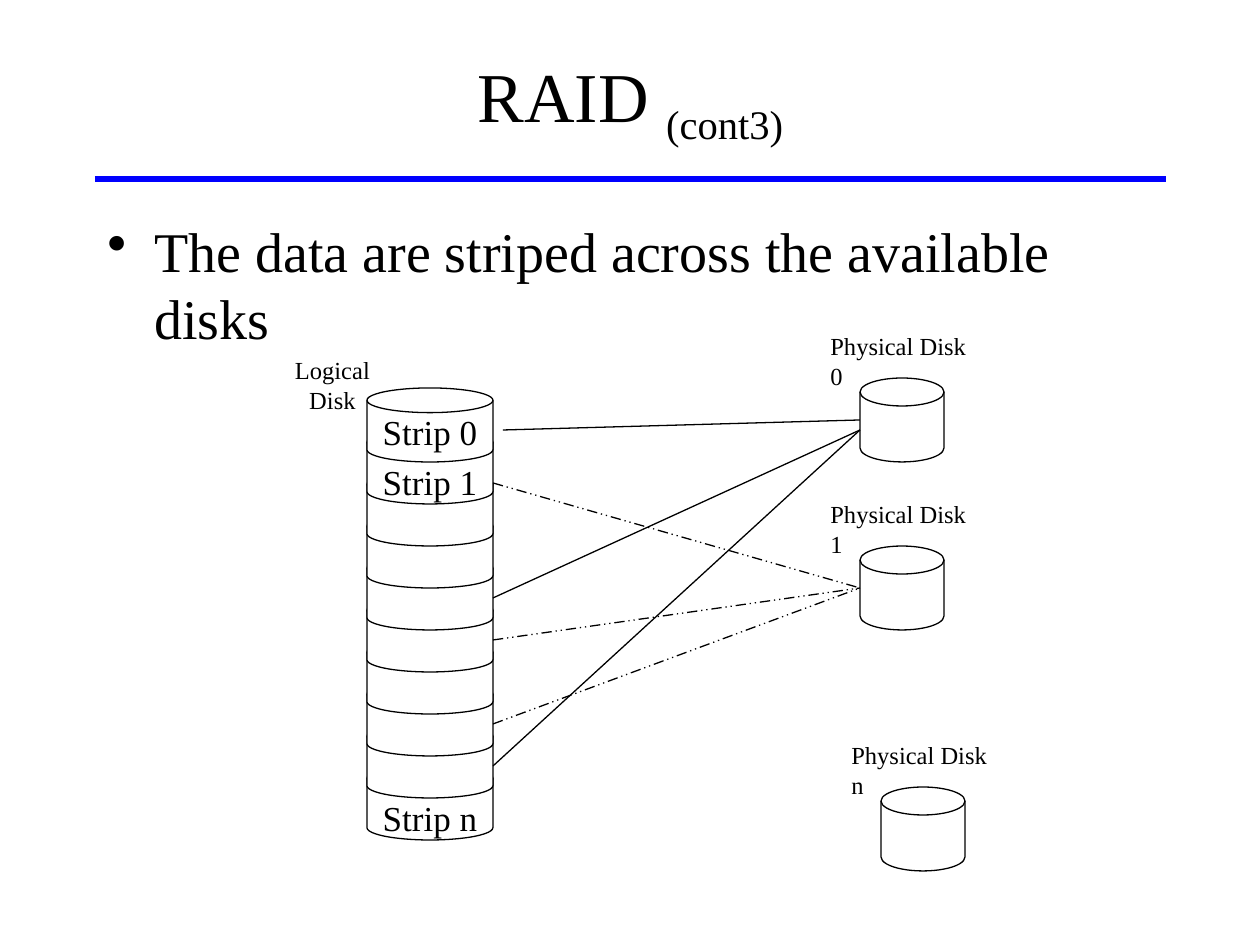
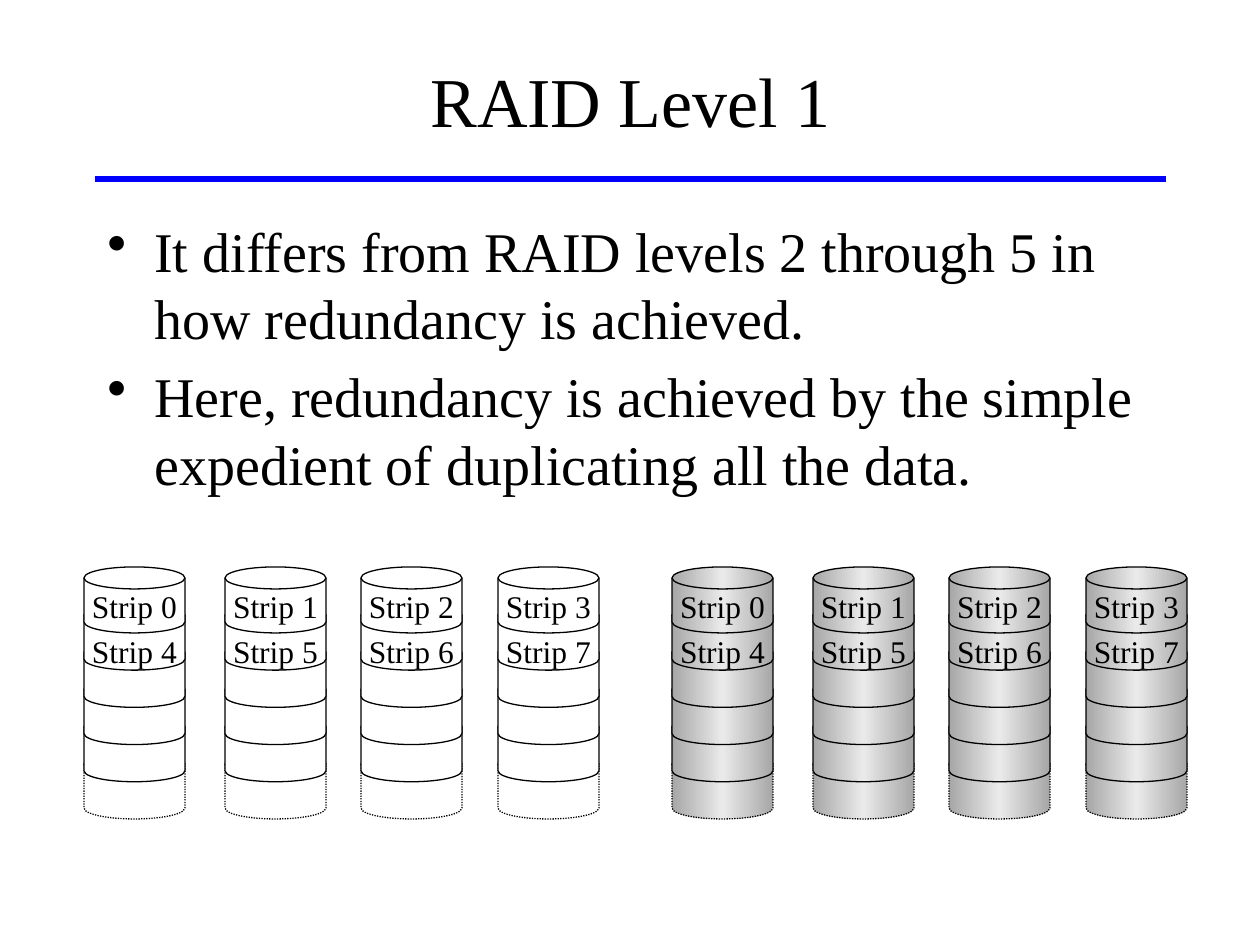
from lxml.etree import SubElement
from pptx import Presentation
from pptx.dml.color import RGBColor
from pptx.enum.dml import MSO_LINE_DASH_STYLE as Dash
from pptx.enum.shapes import MSO_CONNECTOR_TYPE as Connector, MSO_SHAPE as Shape
from pptx.enum.text import MSO_ANCHOR as Anchor, PP_ALIGN as Align
from pptx.oxml.ns import qn
from pptx.util import Pt

PX = 914400 / 126
PAGE_SIZE = (1260, 945)
FONT = "Times New Roman"
BLACK = RGBColor(0, 0, 0)
WHITE = RGBColor(255, 255, 255)
BLUE = RGBColor(0, 0, 255)
SILVER = RGBColor(0xEA, 0xEA, 0xEA)
EDGE_SHADE = 46275  # thousandths of a percent

TITLE_AREA = (95, 21, 1071, 158)
RULE = ((95, 179), (1166, 179))
BODY_AREA = (95, 210, 1071, 315)
BULLET_INDENT = 47

STRIPING = {
    "title": "RAID ",
    "suffix": "(cont3)",
    "bullets": ["The data are striped across the available disks"],
}
LOGICAL_LABEL = ("Logical\nDisk", (282, 349, 101, 72))
LOGICAL_STACK = (367, 388, 126, 452)
LOGICAL_STRIPS = ["Strip 0", "Strip 1"] + [""] * 7 + ["Strip n"]
PHYSICAL_DISKS = [
    ("Physical Disk 0", 860, 378),
    ("Physical Disk 1", 860, 546),
    ("Physical Disk n", 881, 787),
]
MAPPINGS = [
    ((503, 430), (860, 420), None),
    ((493, 598), (860, 430), None),
    ((493, 766), (860, 430), None),
    ((493, 483), (860, 588), Dash.DASH_DOT_DOT),
    ((493, 640), (860, 588), Dash.DASH_DOT_DOT),
    ((493, 724), (860, 588), Dash.DASH_DOT_DOT),
]

MIRRORING = {
    "title": "RAID Level 1",
    "bullets": [
        "It differs from RAID levels 2 through 5 in how redundancy is achieved.",
        "Here, redundancy is achieved by the simple expedient of duplicating all the data.",
    ],
}
DISK_LEFTS = [84, 225, 361, 498]
MIRROR_OFFSETS = [(0, False), (588, True)]
STACK_TOP, STACK_WIDTH, STACK_HEIGHT = 567, 101, 252
STACK_ROWS = 6


def emu(*lengths):
    return [round(length * PX) for length in lengths]


def write(frame, text, size, align=Align.LEFT, anchor=Anchor.TOP, wrap=False,
          suffix="", bullet=False):
    """Fill a text frame, one paragraph a line; suffix is set as a subscript."""
    frame.word_wrap = wrap
    frame.vertical_anchor = anchor
    for number, line in enumerate(text.split("\n")):
        para = frame.add_paragraph() if number else frame.paragraphs[0]
        para.alignment = align
        if bullet:
            para.space_before = Pt(size * 0.2)
            props = para._p.get_or_add_pPr()
            indent, = emu(BULLET_INDENT)
            props.set("marL", str(indent))
            props.set("indent", str(-indent))
            SubElement(props, qn("a:buChar")).set("char", "•")
        for part in filter(None, (line, suffix)):
            span = para.add_run()
            span.text = part
            span.font.name = FONT
            span.font.size = Pt(size)
            span.font.color.rgb = BLACK
            if part == suffix:
                span.font._element.set("baseline", "-25000")


def add_text(shapes, text, area, size, **style):
    write(shapes.add_textbox(*emu(*area)).text_frame, text, size, **style)


def add_line(shapes, start, end, color=BLACK, width=0.75, dash=None):
    line = shapes.add_connector(Connector.STRAIGHT, *emu(*start, *end))
    line.line.color.rgb = color
    line.line.width = Pt(width)
    if dash:
        line.line.dash_style = dash
    SubElement(line._element.spPr, qn("a:effectLst"))


def fill_metallic(shape):
    """Horizontal gradient: silver in the middle, shaded at both edges."""
    shape.fill.gradient()
    shape.fill.gradient_angle = 0
    stops = shape._element.spPr.find(qn("a:gradFill")).find(qn("a:gsLst"))
    for stop in list(stops):
        stops.remove(stop)
    for position in (0, 50, 100):
        stop = SubElement(stops, qn("a:gs"))
        stop.set("pos", str(position * 1000))
        color = SubElement(stop, qn("a:srgbClr"))
        color.set("val", str(SILVER))
        if position != 50:
            SubElement(color, qn("a:shade")).set("val", str(EDGE_SHADE))


def add_disk(shapes, area, text="", size=20, anchor=Anchor.TOP, metallic=False, dash=None):
    disk = shapes.add_shape(Shape.FLOWCHART_MAGNETIC_DISK, *emu(*area))
    disk.shadow.inherit = False
    if metallic:
        fill_metallic(disk)
    else:
        disk.fill.solid()
        disk.fill.fore_color.rgb = WHITE
    disk.line.color.rgb = BLACK
    disk.line.width = Pt(0.75)
    if dash:
        disk.line.dash_style = dash
    if text:
        write(disk.text_frame, text, size, align=Align.CENTER, anchor=anchor)


def add_stack(shapes, area, strips, disk_height, size, metallic=False, last_dash=None):
    """Overlapping disks, drawn from the bottom strip up to the top one."""
    left, top, width, height = area
    last = len(strips) - 1
    step = (height - disk_height) / last
    for row in range(last, -1, -1):
        add_disk(shapes, (left, top + row * step, width, disk_height), strips[row], size,
                 anchor=Anchor.TOP if row else Anchor.MIDDLE, metallic=metallic,
                 dash=last_dash if row == last else None)


def add_page(deck, content):
    page = deck.slides.add_slide(deck.slide_layouts[6])
    add_line(page.shapes, *RULE, color=BLUE, width=3)
    add_text(page.shapes, content["title"], TITLE_AREA, 40, align=Align.CENTER,
             anchor=Anchor.MIDDLE, wrap=True, suffix=content.get("suffix", ""))
    add_text(page.shapes, "\n".join(content["bullets"]), BODY_AREA, 32,
             wrap=True, bullet=True)
    return page


def build_striping(deck):
    page = add_page(deck, STRIPING)
    diagram = page.shapes.add_group_shape().shapes
    add_stack(diagram, LOGICAL_STACK, LOGICAL_STRIPS, disk_height=74, size=20)
    for name, left, top in PHYSICAL_DISKS:
        add_disk(diagram, (left, top, 84, 84))
        add_text(diagram, name, (left - 42, top - 53, 179, 42), 14)
    for start, end, dash in MAPPINGS:
        add_line(diagram, start, end, dash=dash)
    label, area = LOGICAL_LABEL
    add_text(diagram, label, area, 14, align=Align.CENTER)


def build_mirroring(deck):
    page = add_page(deck, MIRRORING)
    for offset, metallic in MIRROR_OFFSETS:
        array = page.shapes.add_group_shape().shapes
        for number, left in enumerate(DISK_LEFTS):
            strips = [f"Strip {number}", f"Strip {number + len(DISK_LEFTS)}"]
            strips += [""] * (STACK_ROWS - len(strips))
            add_stack(array, (left + offset, STACK_TOP, STACK_WIDTH, STACK_HEIGHT), strips,
                      disk_height=66, size=18, metallic=metallic, last_dash=Dash.ROUND_DOT)


def main():
    deck = Presentation()
    deck.slide_width, deck.slide_height = emu(*PAGE_SIZE)
    build_striping(deck)
    build_mirroring(deck)
    deck.save("out.pptx")


if __name__ == "__main__":
    main()
